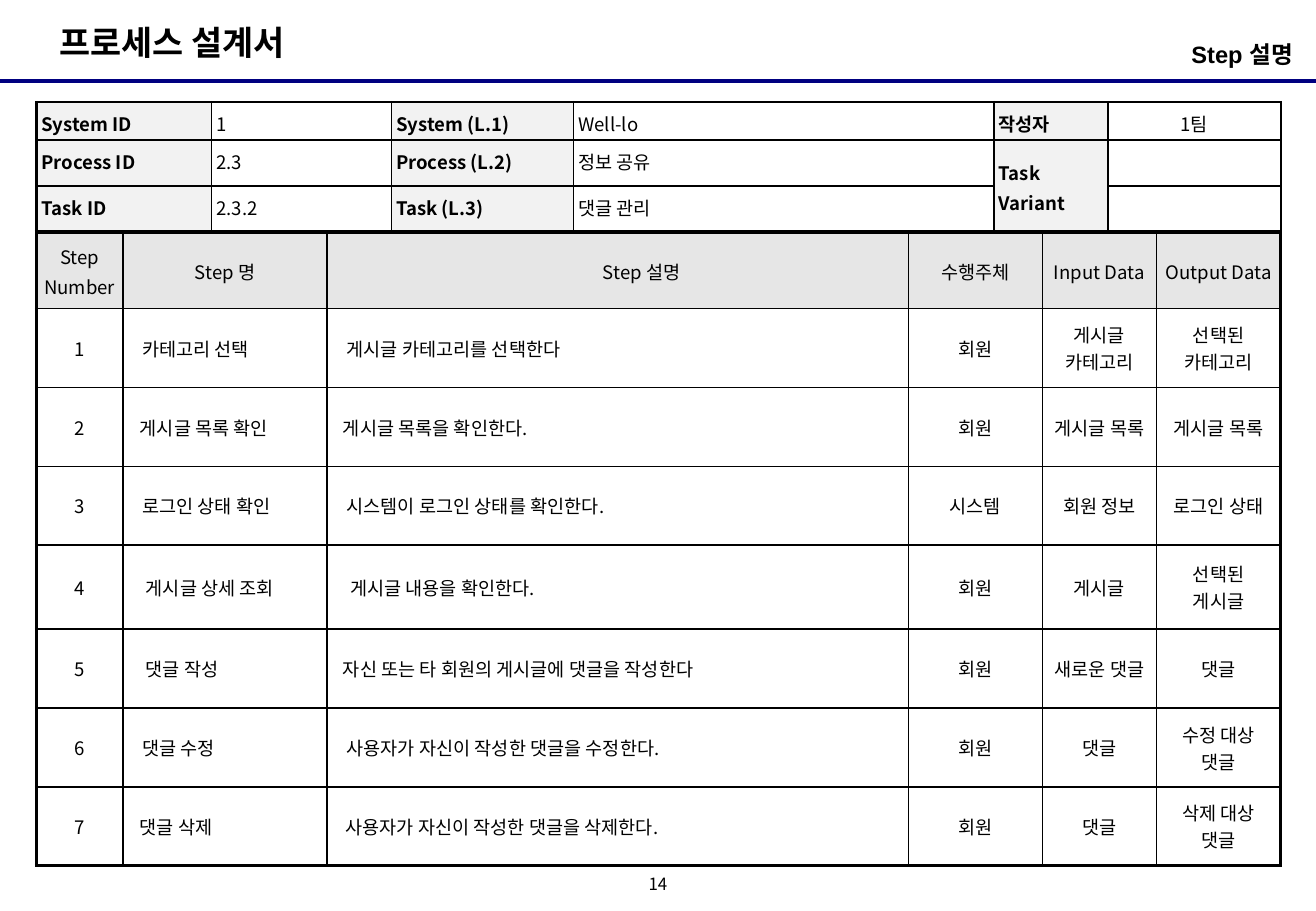
import pptx
import pptx.util
import pptx.dml.color
import pptx.enum.shapes
import pptx.enum.text
import pptx.oxml.ns
import lxml.etree

Inches = pptx.util.Inches
Pt = pptx.util.Pt
ALIGN = pptx.enum.text.PP_ALIGN
ANCHOR = pptx.enum.text.MSO_ANCHOR

WIDTH, HEIGHT = 10.83, 7.5
SANS = "Noto Sans CJK KR"
COLORS = {
    "ink": "000000",
    "paper": "FFFFFF",
    "rule": "000080",
    "label": "F2F2F2",
    "heading": "E6E6E6",
}

INFO_COLUMNS = [1.44, 1.48, 1.5, 3.46, 0.94, 1.42]
INFO_ROWS = [0.31] * 3
INFO = [
    ["System ID", "1", "System (L.1)", "Well-lo", "작성자", "1팀"],
    ["Process ID", "2.3", "Process (L.2)", "정보 공유", "Task Variant", ""],
    ["Task ID", "2.3.2", "Task (L.3)", "댓글 관리", "", ""],
]

STEP_COLUMNS = [0.71, 1.68, 4.78, 1.1, 0.94, 1.02]
STEP_ROWS = [0.63, 0.65, 0.65, 0.65, 0.69, 0.65, 0.65, 0.65]
STEPS = [
    ["Step Number", "Step 명", "Step 설명", "수행주체", "Input Data", "Output Data"],
    ["1", "카테고리 선택", "게시글 카테고리를 선택한다", "회원", "게시글\n카테고리", "선택된 카테고리"],
    ["2", "게시글 목록 확인", "게시글 목록을 확인한다.", "회원", "게시글 목록", "게시글 목록"],
    ["3", "로그인 상태 확인", "시스템이 로그인 상태를 확인한다.", "시스템", "회원 정보", "로그인 상태"],
    ["4", "게시글 상세 조회", "게시글 내용을 확인한다.", "회원", "게시글", "선택된\n게시글"],
    ["5", "댓글 작성", "자신 또는 타 회원의 게시글에 댓글을 작성한다", "회원", "새로운 댓글", "댓글"],
    ["6", "댓글 수정", "사용자가 자신이 작성한 댓글을 수정한다.", "회원", "댓글", "수정 대상\n댓글"],
    ["7", "댓글 삭제", "사용자가 자신이 작성한 댓글을 삭제한다.", "회원", "댓글", "삭제 대상\n댓글"],
]
STEP_INDENTS = {
    1: (0.1, 0.1), 2: (0.08, 0.07), 3: (0.1, 0.1), 4: (0.13, 0.13),
    5: (0.13, 0.07), 6: (0.1, 0.1), 7: (0.08, 0.09),
}


def rgb(name):
    return pptx.dml.color.RGBColor.from_string(COLORS[name])


def apply(target, values):
    for name, value in values.items():
        setattr(target, name, value)


def margins(horizontal, vertical):
    return {
        "margin_left": Inches(horizontal), "margin_right": Inches(horizontal),
        "margin_top": Inches(vertical), "margin_bottom": Inches(vertical),
    }


def write(frame, text, size, bold=False, face=SANS, indent=0, **para_format):
    frame.text = text
    for para in frame.paragraphs:
        apply(para, para_format)
        if indent:
            properties = para._p.get_or_add_pPr()
            properties.set("marL", str(Inches(indent)))
            properties.set("indent", "0")
        for span in para.runs:
            apply(span.font, {"name": face, "size": Pt(size), "bold": bold})
            span.font.color.rgb = rgb("ink")
            east = lxml.etree.SubElement(span.font._element, pptx.oxml.ns.qn("a:ea"))
            east.set("typeface", SANS)


def draw_borders(cell, widths):
    properties = cell._tc.get_or_add_tcPr()
    for side in "LRTB":
        line = lxml.etree.SubElement(properties, pptx.oxml.ns.qn("a:ln" + side))
        line.set("w", str(Pt(widths[side])))
        fill = lxml.etree.SubElement(line, pptx.oxml.ns.qn("a:solidFill"))
        color = lxml.etree.SubElement(fill, pptx.oxml.ns.qn("a:srgbClr"))
        color.set("val", COLORS["ink"])


def add_grid(page, box, columns, rows):
    left, top, width, height = box
    frame = page.shapes.add_table(
        len(rows), len(columns), Inches(left), Inches(top), Inches(width), Inches(height))
    table = frame.table
    apply(table, {"first_row": False, "horz_banding": False})
    for column, share in zip(table.columns, columns):
        column.width = Inches(width * share / sum(columns))
    for row, share in zip(table.rows, rows):
        row.height = Inches(height * share / sum(rows))
    return table


def style_cell(cell, fill, edge, at, last, inner=1):
    row, column = at
    draw_borders(cell, {
        "L": edge if column == 0 else 1,
        "R": edge if column == last[1] else 1,
        "T": edge if row == 0 else inner,
        "B": edge if row == last[0] else inner,
    })
    cell.fill.solid()
    cell.fill.fore_color.rgb = rgb(fill)


def add_header(page, box):
    left, top, width, height = box
    title = page.shapes.title
    apply(title, {"left": Inches(left + 0.39), "top": Inches(top + 0.13),
                  "width": Inches(2.25), "height": Inches(0.44)})
    apply(title.text_frame, {"word_wrap": False, "vertical_anchor": ANCHOR.MIDDLE,
                             "auto_size": pptx.enum.text.MSO_AUTO_SIZE.NONE})
    write(title.text_frame, "프로세스 설계서", 20, bold=True, alignment=ALIGN.LEFT)

    rule = page.shapes.add_connector(
        pptx.enum.shapes.MSO_CONNECTOR.STRAIGHT, Inches(left), Inches(top + height),
        Inches(left + width), Inches(top + height))
    rule.line.color.rgb = rgb("rule")
    rule.line.width = Pt(2.25)
    lxml.etree.SubElement(rule._element.spPr, pptx.oxml.ns.qn("a:effectLst"))

    section = page.shapes.add_textbox(
        Inches(left + 7.39), Inches(top + 0.28), Inches(3.31), Inches(0.39)).text_frame
    apply(section, {"word_wrap": True, **margins(0.06, 0.05)})
    write(section, "Step 설명", 14, bold=True, face="Arial", alignment=ALIGN.RIGHT)


def add_info_table(page, box):
    table = add_grid(page, box, INFO_COLUMNS, INFO_ROWS)
    last = len(INFO_ROWS) - 1, len(INFO_COLUMNS) - 1
    for row, texts in enumerate(INFO):
        for column, text in enumerate(texts):
            cell = table.cell(row, column)
            label = column % 2 == 0
            author = column >= 4
            style_cell(cell, "label" if label else "paper", 1.5, (row, column), last,
                       inner=1.5 if author else 1)
            apply(cell, {**margins(0.04, 0.04),
                         "vertical_anchor": ANCHOR.MIDDLE if author else ANCHOR.TOP})
            write(cell.text_frame, text, 11, bold=label, line_spacing=1.1,
                  alignment=ALIGN.CENTER if column == last[1] else ALIGN.LEFT)
    table.cell(1, 4).merge(table.cell(2, 4))


def add_step_table(page, box):
    table = add_grid(page, box, STEP_COLUMNS, STEP_ROWS)
    last = len(STEP_ROWS) - 1, len(STEP_COLUMNS) - 1
    for row, texts in enumerate(STEPS):
        heading = row == 0
        indents = (0, 0.39) if heading else STEP_INDENTS[row]
        for column, text in enumerate(texts):
            cell = table.cell(row, column)
            described = column in (1, 2)
            style_cell(cell, "heading" if heading else "paper", 2.25, (row, column), last)
            apply(cell, {**margins(0.06, 0.04), "vertical_anchor": ANCHOR.MIDDLE})
            write(cell.text_frame, text, 11,
                  indent=indents[column - 1] if described else 0,
                  line_spacing=1.1 if heading else 1.0,
                  alignment=ALIGN.LEFT if described and not heading else ALIGN.CENTER)


def add_page_number(page, box):
    frame = page.shapes.add_textbox(*map(Inches, box)).text_frame
    apply(frame, {"word_wrap": False, "vertical_anchor": ANCHOR.MIDDLE, **margins(0, 0)})
    write(frame, "14", 10, alignment=ALIGN.CENTER, line_spacing=0.8)


def main():
    deck = pptx.Presentation()
    apply(deck, {"slide_width": Inches(WIDTH), "slide_height": Inches(HEIGHT)})
    page = deck.slides.add_slide(deck.slide_layouts[5])
    add_header(page, (0, 0, WIDTH, 0.67))
    add_info_table(page, (0.3, 0.84, 10.24, 0.94))
    add_step_table(page, (0.3, 1.91, 10.24, 5.22))
    add_page_number(page, (5.25, 7.17, 0.33, 0.25))
    deck.save("out.pptx")


if __name__ == "__main__":
    main()
